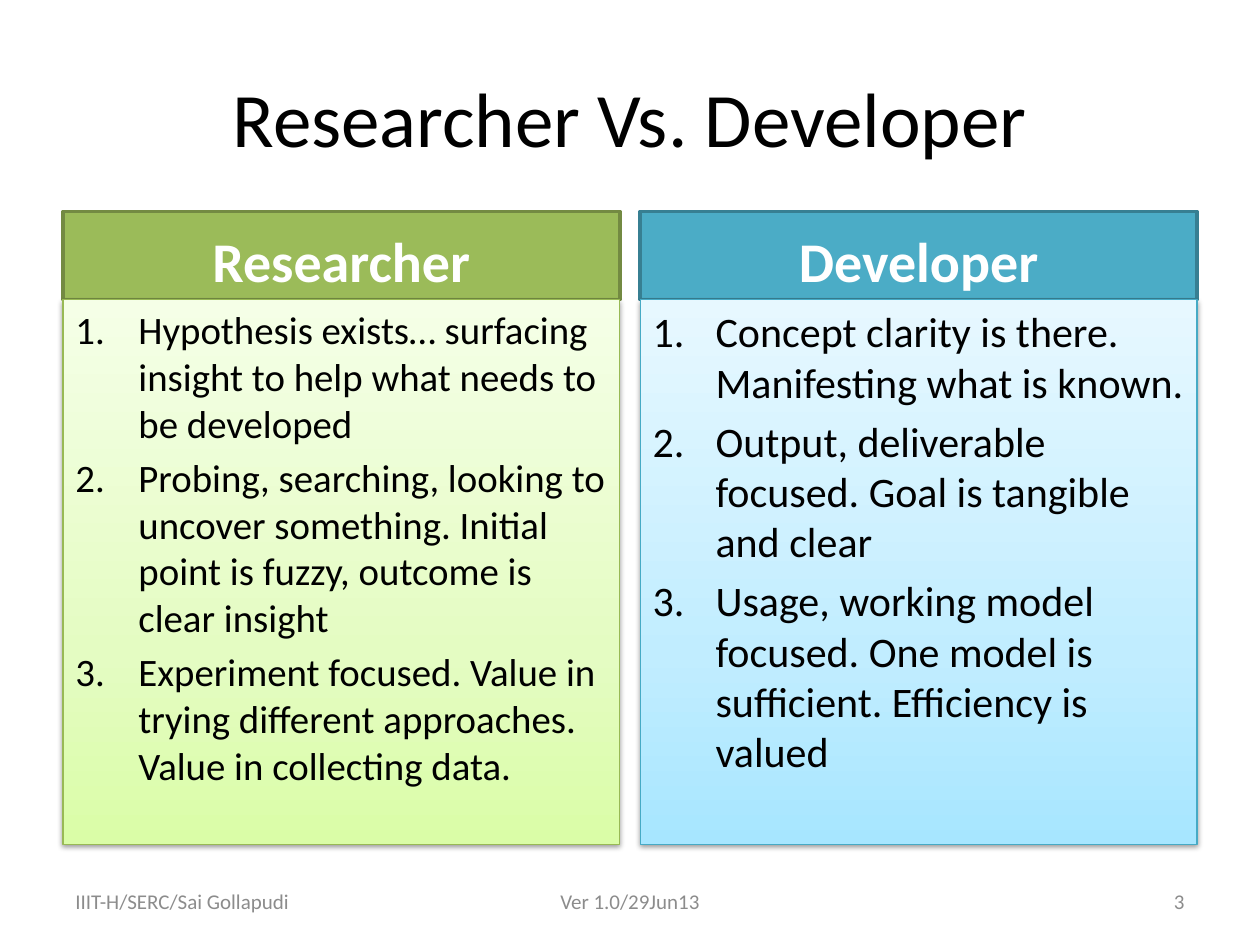
import copy
import pptx
import pptx.dml.color
import pptx.enum.shapes
import pptx.enum.text
import pptx.oxml
import pptx.oxml.ns
import pptx.util
import lxml.etree

Pt = pptx.util.Pt
ALIGN = pptx.enum.text.PP_ALIGN
ANCHOR = pptx.enum.text.MSO_ANCHOR
qn = pptx.oxml.ns.qn

COLORS = {
    "black": "000000", "white": "FFFFFF", "footer": "8C8C8C",
    "green": "9BBB59", "green_edge": "738A42", "green_line": "98B955",
    "blue": "4BACC6", "blue_edge": "377F92", "blue_line": "46AAC5",
}
GRADIENTS = {
    "green": ["DAFDA7", "E4FCC2", "F5FFE7"],
    "blue": ["A7E6FF", "C1EDFF", "E7F8FF"],
}
STOPS = [0, 0.35, 1]


def rgb(value):
    return pptx.dml.color.RGBColor.from_string(value)


class SlideBuilder:
    font = "Calibri"

    def __init__(self, page):
        self.page = page

    def fill_text(self, box, texts, size, color, align=ALIGN.LEFT,
                  anchor=ANCHOR.MIDDLE, bold=False, before=0, numbered=False):
        frame = box.text_frame
        frame.word_wrap = True
        frame.vertical_anchor = anchor
        for index, text in enumerate(texts):
            para = frame.add_paragraph() if index else frame.paragraphs[0]
            para.text = text
            para.alignment = align
            para.space_before = Pt(before)
            para.font.name = self.font
            para.font.size = Pt(size)
            para.font.bold = bold
            para.font.color.rgb = rgb(COLORS[color])
            if numbered:
                self.number(para)

    def number(self, para):
        properties = para._p.get_or_add_pPr()
        properties.set("marL", str(Pt(36)))
        properties.set("indent", str(-Pt(36)))
        bullet_font = lxml.etree.Element(qn("a:buFont"), typeface="+mj-lt")
        bullet = lxml.etree.Element(qn("a:buAutoNum"), type="arabicPeriod")
        defaults = properties.find(qn("a:defRPr"))
        defaults.addprevious(bullet_font)
        defaults.addprevious(bullet)

    def text(self, left, top, width, height, text, size, color, align):
        box = self.page.shapes.add_textbox(Pt(left), Pt(top), Pt(width), Pt(height))
        self.fill_text(box, [text], size, color, align)

    def panel(self, left, top, width, height, line, line_width):
        box = self.page.shapes.add_shape(
            pptx.enum.shapes.MSO_SHAPE.RECTANGLE,
            Pt(left), Pt(top), Pt(width), Pt(height))
        box.shadow.inherit = False
        box.line.color.rgb = rgb(COLORS[line])
        box.line.width = Pt(line_width)
        return box

    def header(self, left, top, width, height, text, theme):
        box = self.panel(left, top, width, height, theme + "_edge", 2)
        box.fill.solid()
        box.fill.fore_color.rgb = rgb(COLORS[theme])
        self.fill_text(box, [text], 32, "white", ALIGN.CENTER, ANCHOR.BOTTOM, True, 6.4)

    def numbered_list(self, left, top, width, height, texts, size, theme):
        box = self.panel(left, top, width, height, theme + "_line", 0.75)
        self.gradient(box, GRADIENTS[theme])
        self.shadow(box)
        self.fill_text(box, texts, size, "black", anchor=ANCHOR.TOP,
                       before=round(size * 0.2, 2), numbered=True)

    def gradient(self, box, shades):
        box.fill.gradient()
        box.fill.gradient_angle = 90
        first = box._element.spPr.find(".//" + qn("a:gs"))
        first.addnext(copy.deepcopy(first))
        for stop, position, shade in zip(box.fill.gradient_stops, STOPS, shades):
            stop.position = position
            stop.color.rgb = rgb(shade)

    def shadow(self, box):
        effects = box._element.spPr.find(qn("a:effectLst"))
        outer = lxml.etree.SubElement(
            effects, qn("a:outerShdw"), blurRad=str(Pt(3.1)), dist=str(Pt(1.6)),
            dir="5400000", rotWithShape="0")
        color = lxml.etree.SubElement(outer, qn("a:srgbClr"), val=COLORS["black"])
        lxml.etree.SubElement(color, qn("a:alpha"), val="38000")


deck = pptx.Presentation()
deck.slide_width, deck.slide_height = Pt(720), Pt(540)
builder = SlideBuilder(deck.slides.add_slide(deck.slide_layouts[6]))

MARGIN, COLUMN_WIDTH = 36, 318.2
HEADER_TOP, HEADER_HEIGHT, LIST_HEIGHT = 120.9, 50.4, 311.1

builder.text(MARGIN, 21.6, 648, 90, "Researcher Vs. Developer", 44, "black", ALIGN.CENTER)

columns = [
    (MARGIN, "Researcher", "green", 22.2, [
        "Hypothesis exists… surfacing insight to help what needs to be developed",
        "Probing, searching, looking to uncover something. Initial point is fuzzy, "
        "outcome is clear insight",
        "Experiment focused. Value in trying different approaches. "
        "Value in collecting data.",
    ]),
    (720 - MARGIN - COLUMN_WIDTH, "Developer", "blue", 24, [
        "Concept clarity is there. Manifesting what is known.",
        "Output, deliverable focused. Goal is tangible and clear",
        "Usage, working model focused. One model is sufficient. Efficiency is valued",
    ]),
]
for left, heading, theme, size, points in columns:
    builder.header(left, HEADER_TOP, COLUMN_WIDTH, HEADER_HEIGHT, heading, theme)
    builder.numbered_list(left, HEADER_TOP + HEADER_HEIGHT, COLUMN_WIDTH, LIST_HEIGHT,
                          points, size, theme)

footers = [
    (MARGIN, 168, "IIIT-H/SERC/Sai Gollapudi", ALIGN.LEFT),
    (246, 228, "Ver 1.0/29Jun13", ALIGN.CENTER),
    (516, 168, "3", ALIGN.RIGHT),
]
for left, width, text, align in footers:
    builder.text(left, 500.5, width, 28.75, text, 12, "footer", align)

deck.save("out.pptx")
